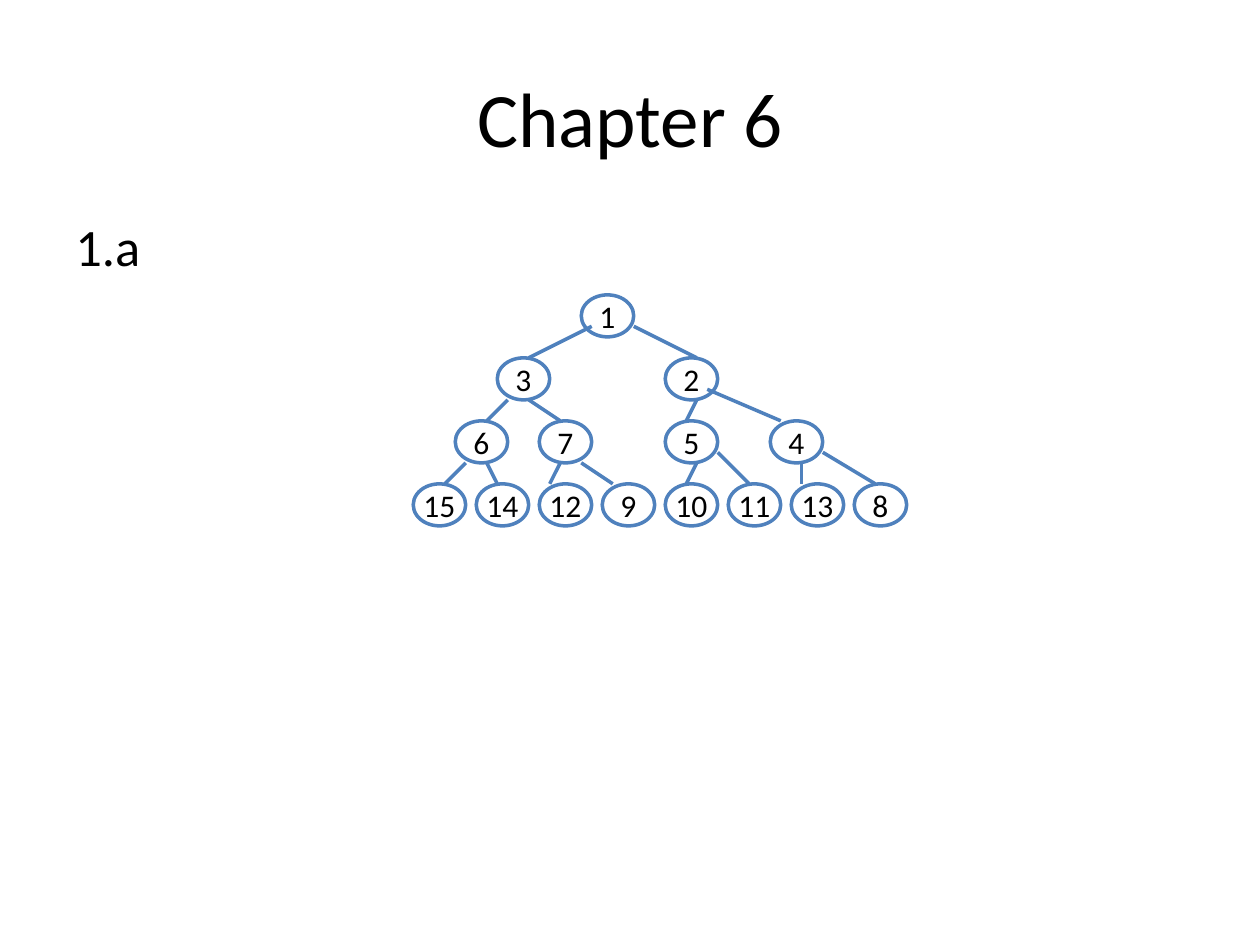
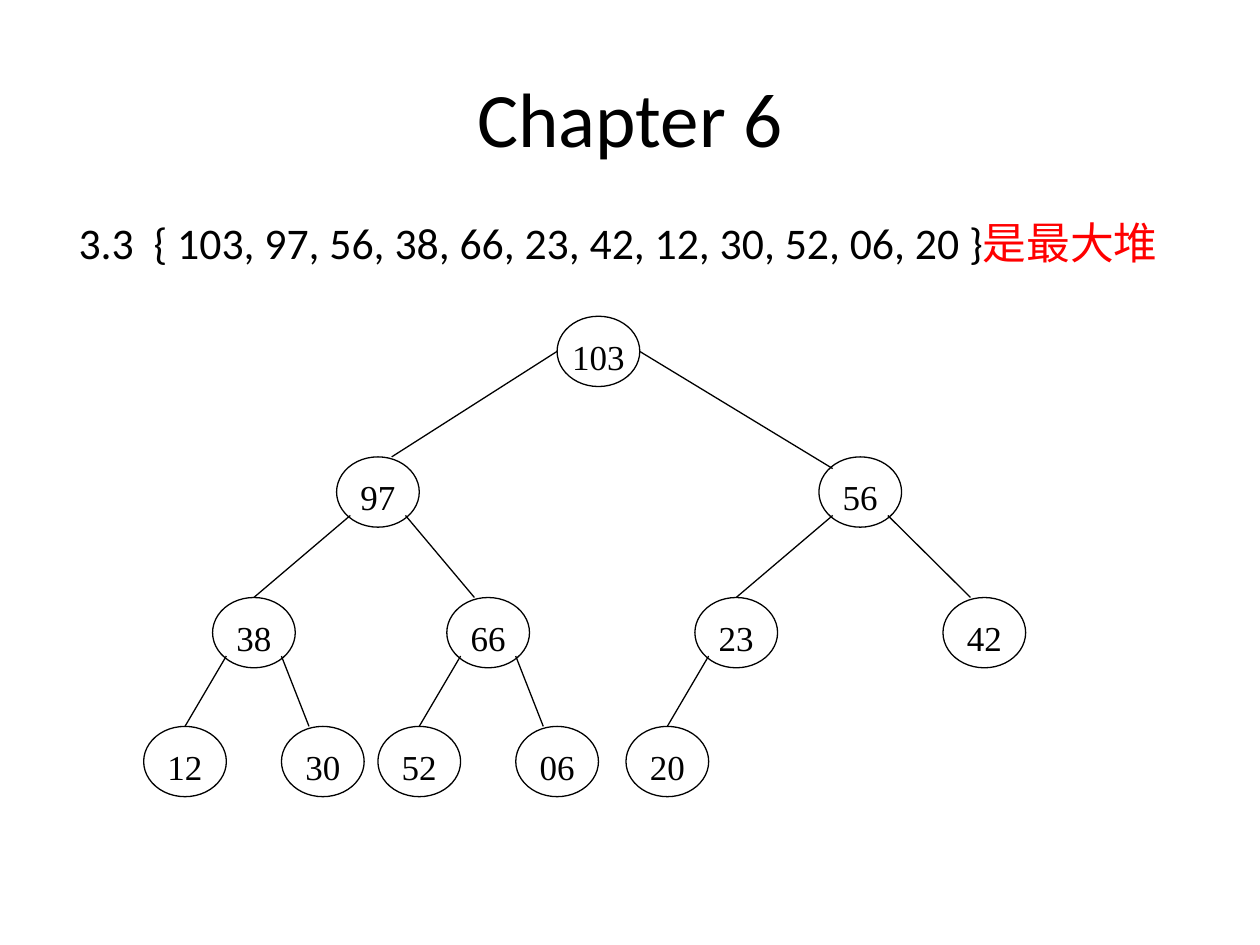
from dataclasses import dataclass
from typing import Optional

from lxml.etree import SubElement
from pptx import Presentation
from pptx.dml.color import RGBColor
from pptx.enum.shapes import MSO_CONNECTOR as Conn, MSO_SHAPE as Shape
from pptx.enum.text import MSO_ANCHOR as Anchor, PP_ALIGN as Align
from pptx.oxml.ns import qn
from pptx.util import Inches, Pt

COLORS = {"ink": "000000", "paper": "FFFFFF", "blue": "4F81BD", "answer": "FF0000"}
BODY_FONT = "Calibri"
SLIDE_W, SLIDE_H = Inches(10), Inches(7.5)
TITLE_ONLY = 5


@dataclass(frozen=True)
class Grid:
    """Tree grid: origin and cell size in inches, node size in cells."""
    left: float
    top: float
    cell_w: float
    cell_h: float
    node_cols: int
    node_rows: int

    def x(self, col: float) -> int:
        return Inches(self.left + col * self.cell_w)

    def y(self, row: float) -> int:
        return Inches(self.top + row * self.cell_h)


@dataclass(frozen=True)
class TreeStyle:
    line: str
    line_pt: float
    font: str
    size: int
    label_drop: Optional[float] = None  # inches below the oval's top, for a separate label


@dataclass(frozen=True)
class Node:
    label: str
    col: int
    row: int


@dataclass(frozen=True)
class Link:
    col1: int
    row1: int
    col2: int
    row2: int


@dataclass(frozen=True)
class Tree:
    grid: Grid
    style: TreeStyle
    nodes: list[Node]
    links: list[Link]


@dataclass(frozen=True)
class Run:
    text: str
    color: str = "ink"


@dataclass(frozen=True)
class Exercise:
    left: float  # share of the slide's width
    width: float
    size: int
    align: Align
    runs: list[Run]
    tree: Tree


LEAVES = ["15", "14", "12", "9", "10", "11", "13", "8"]
MIN_HEAP = Tree(
    Grid(3.28, 2.34, 1 / 12, 1 / 12, 5, 4),
    TreeStyle("blue", 2, BODY_FONT, 18),
    [Node("1", 16, 0), Node("3", 8, 6), Node("2", 24, 6),
     Node("6", 4, 12), Node("7", 12, 12), Node("5", 24, 12), Node("4", 34, 12),
     *(Node(label, 6 * i, 18) for i, label in enumerate(LEAVES))],
    [Link(17, 3, 11, 6), Link(21, 3, 27, 6),
     Link(9, 10, 7, 12), Link(11, 10, 14, 12), Link(27, 10, 26, 12), Link(28, 9, 35, 12),
     Link(5, 16, 3, 18), Link(7, 16, 8, 18), Link(14, 16, 13, 18), Link(16, 16, 19, 18),
     Link(27, 16, 26, 18), Link(29, 15, 32, 18), Link(37, 16, 37, 18), Link(39, 15, 44, 18)],
)


def branch(parent: Node, left: Node, right: Optional[Node] = None) -> list[Link]:
    """Links from a parent's lower corners to the tops of its children."""
    links = [Link(parent.col + 1, parent.row + 5, left.col + 3, left.row)]
    if right:
        links.append(Link(parent.col + 5, parent.row + 5, right.col + 2, right.row))
    return links


def max_heap() -> Tree:
    n103, n97, n56 = Node("103", 30, 0), Node("97", 14, 12), Node("56", 49, 12)
    n38, n66, n23, n42 = (Node(label, col, 24) for label, col in
                          (("38", 5), ("66", 22), ("23", 40), ("42", 58)))
    leaves = [Node(label, col, 35) for label, col in
              (("12", 0), ("30", 10), ("52", 17), ("06", 27), ("20", 35))]
    links = [Link(30, 3, 18, 12), Link(36, 3, 50, 13),
             *branch(n97, n38, n66), *branch(n56, n23, n42),
             *branch(n38, *leaves[:2]), *branch(n66, *leaves[2:4]), *branch(n23, leaves[4])]
    # The third level's right link lands one column further in.
    return Tree(Grid(1.14, 2.51, 7 / 64, 0.093, 6, 6),
                TreeStyle("ink", 0.75, "Times New Roman", 20, label_drop=0.08),
                [n103, n97, n56, n38, n66, n23, n42, *leaves], links)


EXERCISES = [
    Exercise(0.05, 0.434, 30, Align.LEFT, [Run("1.a")], MIN_HEAP),
    Exercise(0.031, 0.919, 25, Align.CENTER,
             [Run("3.3  { 103, 97, 56, 38, 66, 23, 42, 12, 30, 52, 06, 20 }"),
              Run("是最大堆", "answer")], max_heap()),
]


def rgb(name: str) -> RGBColor:
    return RGBColor.from_string(COLORS[name])


def add_run(p, text: str, size: int, font: str = BODY_FONT, color: str = "ink") -> None:
    r = p.add_run()
    r.text = text
    r.font.size, r.font.name = Pt(size), font
    r.font.color.rgb = rgb(color)


def add_title(slide) -> None:
    title = slide.shapes.title
    title.left, title.top = int(SLIDE_W * 0.05), int(SLIDE_H * 0.04)
    title.width, title.height = int(SLIDE_W * 0.9), SLIDE_H // 6
    p = title.text_frame.paragraphs[0]
    p.alignment = Align.CENTER
    add_run(p, "Chapter 6", 44)


def add_question(slide, ex: Exercise) -> None:
    sp = slide.shapes.add_textbox(int(SLIDE_W * ex.left), int(SLIDE_H * 0.233),
                                  int(SLIDE_W * ex.width), int(SLIDE_H * 0.07))
    sp.text_frame.word_wrap = True
    p = sp.text_frame.paragraphs[0]
    p.alignment, p.line_spacing = ex.align, 0.8
    indent = Inches(0.38)
    p_pr = p._p.get_or_add_pPr()
    p_pr.set("marL", str(indent))
    p_pr.set("indent", str(-indent))
    for run in ex.runs:
        add_run(p, run.text, ex.size, color=run.color)


def add_node(slide, node: Node, grid: Grid, style: TreeStyle) -> None:
    left, top = grid.x(node.col), grid.y(node.row)
    width = Inches(grid.node_cols * grid.cell_w)
    sp = slide.shapes.add_shape(Shape.OVAL, left, top, width,
                                Inches(grid.node_rows * grid.cell_h))
    sp.shadow.inherit = False
    sp.fill.solid()
    sp.fill.fore_color.rgb = rgb("paper")
    sp.line.color.rgb, sp.line.width = rgb(style.line), Pt(style.line_pt)
    tf = sp.text_frame
    if style.label_drop is None:
        tf.word_wrap, tf.vertical_anchor = False, Anchor.MIDDLE
    else:
        label = slide.shapes.add_textbox(left, top + Inches(style.label_drop),
                                         width, Inches(0.43))
        tf = label.text_frame
        tf.word_wrap, tf.margin_top = True, Inches(0.07)
    p = tf.paragraphs[0]
    p.alignment = Align.CENTER
    add_run(p, node.label, style.size, style.font)


def add_link(slide, link: Link, grid: Grid, style: TreeStyle) -> None:
    line = slide.shapes.add_connector(Conn.STRAIGHT, grid.x(link.col1), grid.y(link.row1),
                                      grid.x(link.col2), grid.y(link.row2))
    line.line.color.rgb, line.line.width = rgb(style.line), Pt(style.line_pt)
    SubElement(line._element.spPr, qn("a:effectLst"))


def add_tree(slide, tree: Tree) -> None:
    for node in tree.nodes:
        add_node(slide, node, tree.grid, tree.style)
    for link in tree.links:
        add_link(slide, link, tree.grid, tree.style)


def main() -> None:
    prs = Presentation()
    prs.slide_width, prs.slide_height = SLIDE_W, SLIDE_H
    for ex in EXERCISES:
        slide = prs.slides.add_slide(prs.slide_layouts[TITLE_ONLY])
        add_title(slide)
        add_question(slide, ex)
        add_tree(slide, ex.tree)
    prs.save("out.pptx")


if __name__ == "__main__":
    main()
